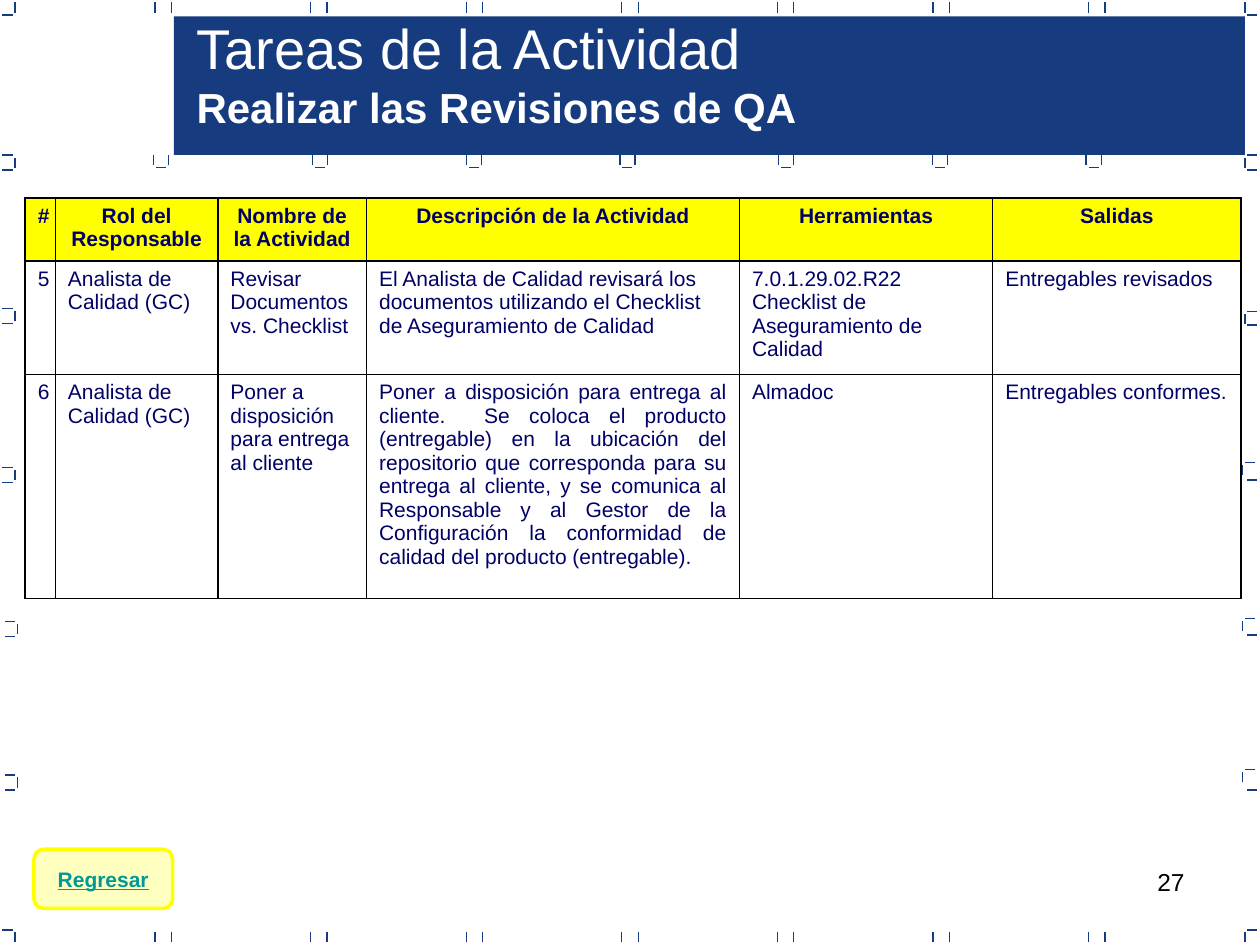
from lxml import etree
from pptx import Presentation
from pptx.dml.color import RGBColor
from pptx.enum.shapes import MSO_CONNECTOR, MSO_SHAPE
from pptx.enum.text import MSO_ANCHOR, MSO_AUTO_SIZE, PP_ALIGN
from pptx.oxml.ns import qn
from pptx.util import Inches, Pt

LEFT, CENTER, RIGHT, JUSTIFY = PP_ALIGN.LEFT, PP_ALIGN.CENTER, PP_ALIGN.RIGHT, PP_ALIGN.JUSTIFY
TOP, MIDDLE = MSO_ANCHOR.TOP, MSO_ANCHOR.MIDDLE
NO_AUTOSIZE = MSO_AUTO_SIZE.NONE
STRAIGHT = MSO_CONNECTOR.STRAIGHT
RECTANGLE = MSO_SHAPE.RECTANGLE
BUTTON = MSO_SHAPE.FLOWCHART_ALTERNATE_PROCESS

NAVY, INK, YELLOW, TEAL = "163B7F", "000066", "FFFF00", "009999"
WHITE, BLACK = "FFFFFF", "000000"
TICK, GAP = 0.08, 0.02
SIDE = TICK + 2 * GAP


def color(value):
    return RGBColor.from_string(value)


def write(paragraph, text, size=12, fill=INK, bold=False, underline=False, align=LEFT):
    paragraph.alignment = align
    run = paragraph.add_run()
    run.text = text
    run.font.name = "Arial"
    run.font.size = Pt(size)
    run.font.bold = bold
    run.font.underline = underline
    run.font.color.rgb = color(fill)


class SlideBuilder:
    """Holds the current slide and draws each kind of element in its style."""

    def __init__(self, presentation):
        self.slide = presentation.slides.add_slide(presentation.slide_layouts[5])
        self.shapes = self.slide.shapes

    def line(self, x1, y1, x2, y2):
        connector = self.shapes.add_connector(
            STRAIGHT, Inches(x1), Inches(y1), Inches(x2), Inches(y2))
        connector.line.color.rgb = color(NAVY)
        connector.line.width = Pt(0.75)
        etree.SubElement(connector._element.spPr, qn("a:effectLst"))

    def upright(self, x, y):
        self.line(x, y + TICK, x, y)

    def level(self, x, y):
        self.line(x, y, x + TICK, y)

    def shape(self, kind, left, top, width, height, fill, alpha=None, outline=None):
        shape = self.shapes.add_shape(
            kind, Inches(left), Inches(top), Inches(width), Inches(height))
        shape.shadow.inherit = False
        shape.fill.solid()
        shape.fill.fore_color.rgb = color(fill)
        if alpha:
            solid = shape._element.spPr.find(qn("a:solidFill"))
            etree.SubElement(solid[0], qn("a:alpha"), val=str(alpha * 1000))
        if outline:
            shape.line.color.rgb = color(outline)
            shape.line.width = Pt(2)
        else:
            shape.line.fill.background()
        return shape

    def title(self, left, top, width, height, heading, subheading):
        title = self.shapes.title
        title.left, title.top = Inches(left), Inches(top)
        title.width, title.height = Inches(width), Inches(height)
        frame = title.text_frame
        frame.word_wrap, frame.auto_size = True, NO_AUTOSIZE
        frame.vertical_anchor = TOP
        write(frame.paragraphs[0], heading, size=32, fill=WHITE)
        write(frame.add_paragraph(), subheading, size=24, fill=WHITE, bold=True)
        self.shapes._spTree.append(title._element)

    def text(self, left, top, width, height, text, **style):
        box = self.shapes.add_textbox(
            Inches(left), Inches(top), Inches(width), Inches(height))
        box.text_frame.word_wrap = True
        write(box.text_frame.paragraphs[0], text, **style)

    def button(self, left, top, width, height, text):
        shape = self.shape(BUTTON, left, top, width, height, YELLOW, 25, YELLOW)
        frame = shape.text_frame
        frame.word_wrap, frame.vertical_anchor = False, MIDDLE
        write(frame.paragraphs[0], text, fill=TEAL, bold=True, underline=True, align=CENTER)

    def borders(self, cell):
        properties = cell._tc.get_or_add_tcPr()
        for edge in ("a:lnL", "a:lnR", "a:lnT", "a:lnB"):
            border = etree.SubElement(properties, qn(edge), w=str(Pt(1)))
            solid = etree.SubElement(border, qn("a:solidFill"))
            etree.SubElement(solid, qn("a:srgbClr"), val=BLACK)

    def table(self, left, top, widths, heights, rows):
        table = self.shapes.add_table(
            len(rows), len(widths), Inches(left), Inches(top),
            Inches(sum(widths)), Inches(sum(heights))).table
        table.horz_banding = False
        for column, width in zip(table.columns, widths):
            column.width = Inches(width)
        for index, (row, height, texts) in enumerate(zip(table.rows, heights, rows)):
            row.height = Inches(height)
            header = index == 0
            for number, (cell, text) in enumerate(zip(row.cells, texts)):
                self.borders(cell)
                if header:
                    cell.fill.solid()
                    cell.fill.fore_color.rgb = color(YELLOW)
                else:
                    cell.fill.background()
                align = CENTER if header or number == 0 else LEFT
                if (index, number) == (2, 3):
                    align = JUSTIFY
                write(cell.text_frame.paragraphs[0], text, bold=header, align=align)


def draw_frame(builder):
    for step in range(7):
        for x in (1.23 + 1.235 * step, 1.36 + 1.235 * step):
            builder.upright(x, 0.02)
            builder.upright(x, 7.4)
    for x in (0.12, 9.88):
        builder.upright(x, 0.02)
        builder.upright(x, 7.4)
    for x in (0.02, 9.9):
        builder.level(x, 0.12)
        builder.level(x, 7.38)
    for step in range(1, 6):
        builder.level(9.9, 0.12 + 1.23 * step)
    for x, y in ((0.02, 1.23), (0.02, 2.45), (0.02, 3.71), (0.04, 4.93), (0.04, 6.15)):
        builder.level(x, y)
        builder.level(x, y + SIDE)
        builder.upright(x + TICK + GAP, y + GAP)
    for x, y in ((9.88, 1.23), (9.88, 2.47), (9.86, 3.67), (9.86, 4.91), (9.86, 6.11)):
        builder.upright(x, y + GAP)
        builder.level(x + GAP, y)
    for x in (1.22, 2.48, 3.7, 4.92, 6.18, 7.4, 8.62):
        builder.upright(x, 1.23)
        builder.upright(x + SIDE, 1.23)
        builder.level(x + GAP, 1.33)


ROWS = [
    ["#", "Rol del Responsable", "Nombre de la Actividad", "Descripción de la Actividad",
     "Herramientas", "Salidas"],
    ["5", "Analista de Calidad (GC)", "Revisar Documentos vs. Checklist",
     "El Analista de Calidad revisará los documentos utilizando el Checklist "
     "de Aseguramiento de Calidad",
     "7.0.1.29.02.R22 Checklist de Aseguramiento de Calidad", "Entregables revisados"],
    ["6", "Analista de Calidad (GC)", "Poner a disposición para entrega al cliente",
     "Poner a disposición para entrega al cliente.  Se coloca el producto (entregable) "
     "en la ubicación del repositorio que corresponda para su entrega al cliente, y se "
     "comunica al Responsable y al Gestor de la Configuración la conformidad de calidad "
     "del producto (entregable). ",
     "Almadoc", "Entregables conformes."],
]

presentation = Presentation()
presentation.slide_width, presentation.slide_height = Inches(10), Inches(7.5)
builder = SlideBuilder(presentation)
builder.text(7.17, 6.83, 2.33, 0.52, "27", size=14, fill=BLACK, align=RIGHT)
draw_frame(builder)
builder.shape(RECTANGLE, 1.38, 0.13, 8.5, 1.1, NAVY)
builder.table(0.2, 1.57, [0.23, 1.29, 1.18, 2.96, 2.01, 1.97], [0.47, 0.85, 1.78], ROWS)
builder.title(1.46, 0.06, 6.54, 1.03, "Tareas de la Actividad", "Realizar las Revisiones de QA")
builder.button(0.27, 6.74, 1.1, 0.47, "Regresar")
presentation.save("out.pptx")
